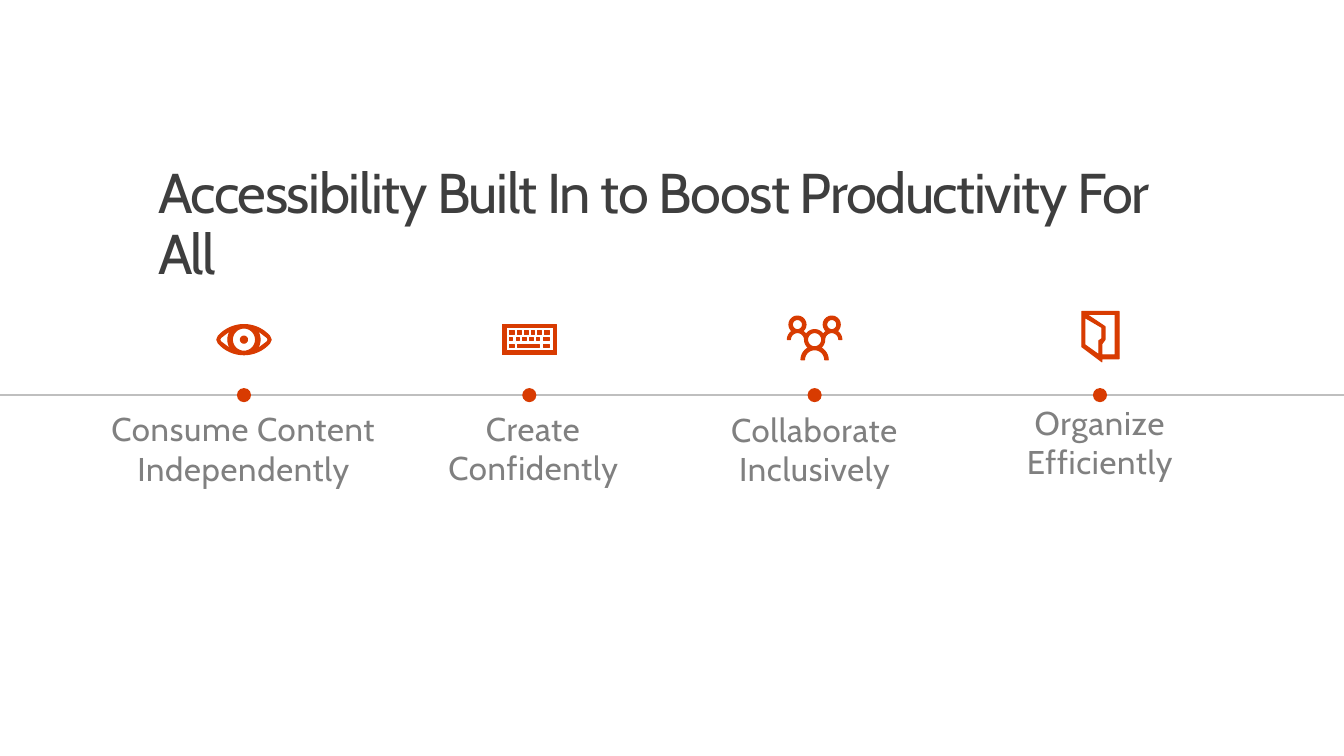
from dataclasses import dataclass
from math import cos, radians, sin

from lxml import etree
from pptx import Presentation
from pptx.dml.color import RGBColor
from pptx.enum import shapes, text
from pptx.oxml import ns
from pptx.util import Inches, Pt


@dataclass(frozen=True)
class Theme:
    font: str = "Cabin"
    accent: RGBColor = RGBColor(0xD8, 0x3B, 0x01)
    title: RGBColor = RGBColor(0x3E, 0x3E, 0x3E)
    label: RGBColor = RGBColor(0x80, 0x80, 0x80)
    rule: RGBColor = RGBColor(0xBF, 0xBF, 0xBF)
    title_size: float = 40
    label_size: float = 23.5


THEME = Theme()
FIRST_STOP, STOP_GAP = 2.42, 2.83
ICON_Y, LINE_Y, DOT = 3.37, 3.92, 0.14


def arc(x, y, radius, start, end, steps=16):
    """Points on a circle between two angles in degrees, clockwise when rising."""
    angles = [radians(start + (end - start) * i / steps) for i in range(steps + 1)]
    return [(x + radius * cos(a), y + radius * sin(a)) for a in angles]


def circle(x, y, radius):
    return arc(x, y, radius, 0, 360, 32)


def rectangle(left, top, right, bottom):
    return [(left, top), (right, top), (right, bottom), (left, bottom)]


def mirror(points):
    return [(-x, y) for x, y in reversed(points)]


# Each icon is a list of closed outlines, in inches from the icon's centre.
def eye_icon():
    lids = (arc(0, 0.19, 0.34, -138.6, -41.4) + [(0.27, 0)]
            + arc(0, -0.19, 0.34, 41.4, 138.6) + [(-0.27, 0)])
    white = arc(0, 0, 0.16, 219, 141) + [(-0.23, 0.02), (-0.24, 0), (-0.23, -0.02)]
    return [lids, white, mirror(white), circle(0, 0, 0.115), circle(0, 0, 0.035)]


def keyboard_icon():
    key_rows = [
        (-0.09, -0.05, [(-0.2, -0.15), (-0.12, -0.08), (-0.05, -0.01),
                        (0.02, 0.05), (0.08, 0.12), (0.15, 0.2)]),
        (-0.02, 0.01, [(-0.2, -0.17), (-0.13, -0.1), (-0.07, -0.03),
                       (0, 0.04), (0.07, 0.1), (0.14, 0.2)]),
        (0.05, 0.08, [(-0.2, -0.15), (-0.12, 0.1), (0.14, 0.2)]),
    ]
    keys = [rectangle(left, top, right, bottom)
            for top, bottom, row in key_rows for left, right in row]
    return [rectangle(-0.27, -0.15, 0.27, 0.15),
            rectangle(-0.23, -0.12, 0.24, 0.11)] + keys


def people_icon():
    right_half = (arc(0, 0.2, 0.1, -90, 0) + arc(0, 0.2, 0.135, 0, -63)
                  + arc(0, 0, 0.1, 53, 0) + arc(0.17, 0, 0.07, -180, 0)
                  + arc(0.17, 0, 0.1, 0, -60) + arc(0.17, -0.15, 0.085, 55, -235)
                  + arc(0.17, 0, 0.1, -120, -145) + arc(0, 0, 0.1, -35, -90))
    faces = [circle(0, 0, 0.07)] + [circle(x, -0.15, 0.05) for x in (-0.17, 0.17)]
    return [right_half + mirror(right_half)] + faces


def door_icon():
    frame = [(0.19, 0.19), (0.19, -0.28), (-0.18, -0.28), (-0.18, 0.07),
             (0.02, 0.22), (0.02, 0.19)]
    opening = [(0.15, -0.25), (0.15, 0.15), (0.02, 0.15), (0.02, 0.04),
               (0.05, 0), (0.05, -0.13), (-0.13, -0.25)]
    panel = [(-0.01, 0.01), (-0.01, 0.15), (-0.15, 0.05), (-0.15, -0.22),
             (0.02, -0.12), (0.02, -0.01)]
    return [frame, opening, panel]


def add_icon(page, x, outlines):
    placed = [[(Inches(x + dx), Inches(ICON_Y + dy)) for dx, dy in outline]
              for outline in outlines]
    builder = page.shapes.build_freeform(*placed[0][0])
    for number, points in enumerate(placed):
        if number:
            builder.move_to(*points[0])
        builder.add_line_segments(points[1:], close=True)
    icon = builder.convert_to_shape()
    icon.shadow.inherit = False
    icon.fill.solid()
    icon.fill.fore_color.rgb = THEME.accent
    icon.line.color.rgb = THEME.accent
    icon.line.width = Pt(0.75)


def add_text(page, words, place, size, color, margins, tracking):
    """Add a wrapped text box; tracking is in hundredths of a point."""
    box = page.shapes.add_textbox(*map(Inches, place))
    frame = box.text_frame
    frame.word_wrap = True
    frame.margin_left = frame.margin_right = Inches(margins[0])
    frame.margin_top = frame.margin_bottom = Inches(margins[1])
    frame.text = words
    span = frame.paragraphs[0].runs[0]
    span.font.name = THEME.font
    span.font.size = Pt(size)
    span.font.color.rgb = color
    span.font._element.set("spc", str(tracking))
    return frame


def add_title(page, words):
    frame = add_text(page, words, (1.41, 1.54, 10.8, 0.98), THEME.title_size,
                     THEME.title, (0.16, 0.1), -100)
    frame.paragraphs[0].line_spacing = 0.9


def add_label(page, words, place):
    frame = add_text(page, words, place, THEME.label_size, THEME.label, (0, 0.05), 50)
    frame.vertical_anchor = text.MSO_ANCHOR.MIDDLE
    frame.paragraphs[0].alignment = text.PP_ALIGN.CENTER


def add_timeline(page, width):
    line = page.shapes.add_connector(
        shapes.MSO_CONNECTOR.STRAIGHT, 0, Inches(LINE_Y), width, Inches(LINE_Y))
    line.line.color.rgb = THEME.rule
    line.line.width = Pt(1.25)
    etree.SubElement(line._element.spPr, ns.qn("a:effectLst"))


def add_dot(page, x):
    dot = page.shapes.add_shape(
        shapes.MSO_SHAPE.OVAL, Inches(x - DOT / 2), Inches(LINE_Y - DOT / 2),
        Inches(DOT), Inches(DOT))
    dot.shadow.inherit = False
    dot.fill.solid()
    dot.fill.fore_color.rgb = THEME.accent
    dot.line.fill.background()


def main():
    deck = Presentation()
    deck.slide_width, deck.slide_height = Inches(13.33), Inches(7.5)
    page = deck.slides.add_slide(deck.slide_layouts[6])
    stops = [
        (eye_icon(), "Consume Content Independently", (1.04, 4.21, 2.75, 0.48)),
        (keyboard_icon(), "Create Confidently", (4.31, 4.24, 1.96, 0.41)),
        (people_icon(), "Collaborate Inclusively", (7.1, 4.25, 1.96, 0.41)),
        (door_icon(), "Organize Efficiently", (9.93, 4.18, 1.96, 0.41)),
    ]
    add_title(page, "Accessibility Built In to Boost Productivity For All")
    add_timeline(page, deck.slide_width)
    for number, (outlines, words, place) in enumerate(stops):
        x = FIRST_STOP + number * STOP_GAP
        add_icon(page, x, outlines)
        add_label(page, words, place)
        add_dot(page, x)
    deck.save("out.pptx")


if __name__ == "__main__":
    main()
